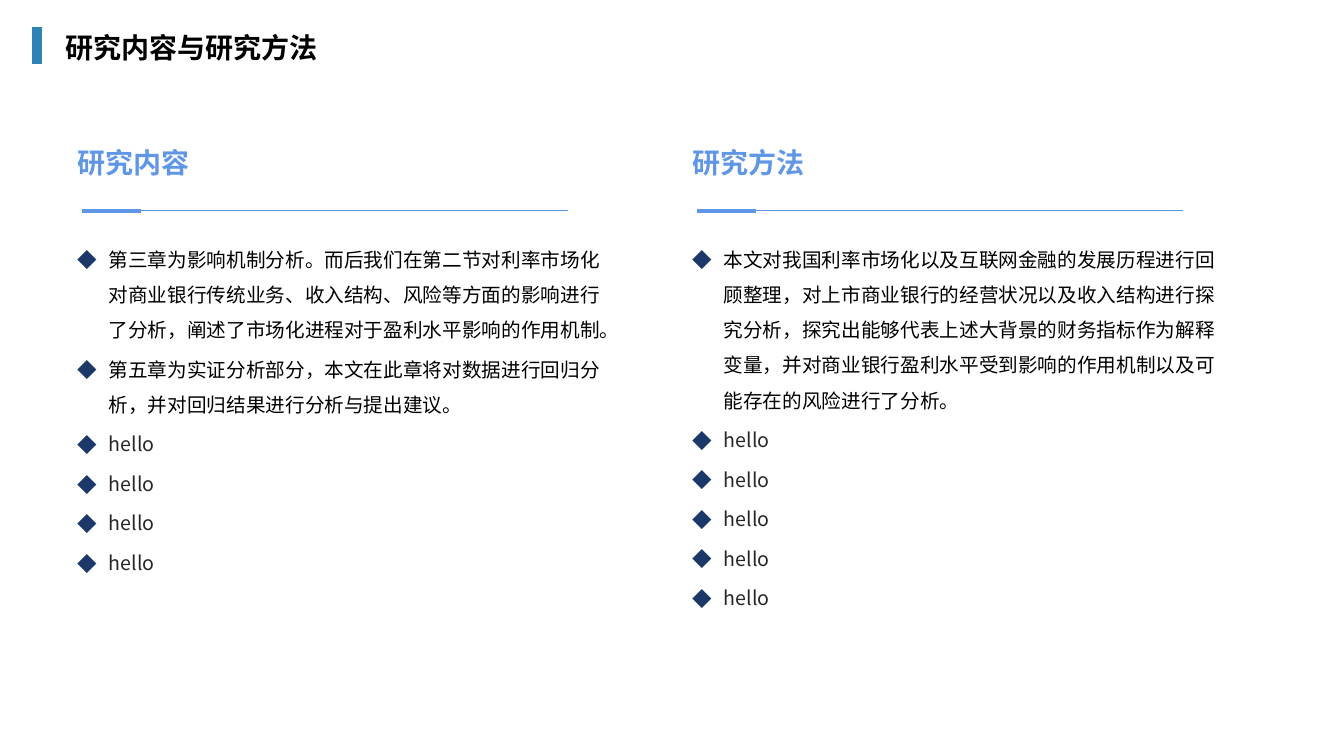
from pptx import Presentation
from pptx.dml.color import RGBColor
from pptx.enum.shapes import MSO_CONNECTOR
from pptx.enum.text import MSO_AUTO_SIZE
from pptx.oxml.ns import qn
from pptx.util import Inches, Pt
from lxml.etree import SubElement

FONT = "Noto Sans CJK SC"
COLORS = {
    "black": "000000",
    "gray": "262626",
    "accent": "6096E6",
    "bullet": "1B3868",
    "bar": "2D83B6",
}
HELLO = ("hello", "gray")
SECTIONS = [
    ("研究内容", [
        ("第三章为影响机制分析。而后我们在第二节对利率市场化对商业银行传统业务、收入结构、"
         "风险等方面的影响进行了分析，阐述了市场化进程对于盈利水平影响的作用机制。", "black"),
        ("第五章为实证分析部分，本文在此章将对数据进行回归分析，并对回归结果进行分析与提出建议。",
         "black"),
    ] + [HELLO] * 4),
    ("研究方法", [
        ("本文对我国利率市场化以及互联网金融的发展历程进行回顾整理，对上市商业银行的经营状况"
         "以及收入结构进行探究分析，探究出能够代表上述大背景的财务指标作为解释变量，"
         "并对商业银行盈利水平受到影响的作用机制以及可能存在的风险进行了分析。", "black"),
    ] + [HELLO] * 5),
]
SECTION_LEFT = 0.67
SECTION_STEP = 6.1


def add_line(slide, start, end, color, width):
    line = slide.shapes.add_connector(
        MSO_CONNECTOR.STRAIGHT, *(Inches(value) for value in start + end))
    line.line.color.rgb = RGBColor.from_string(COLORS[color])
    line.line.width = Pt(width)
    SubElement(line._element.spPr, qn("a:effectLst"))


def add_text_frame(slide, left, top, width, height):
    box = slide.shapes.add_textbox(
        Inches(left), Inches(top), Inches(width), Inches(height))
    frame = box.text_frame
    frame.word_wrap = True
    frame.auto_size = MSO_AUTO_SIZE.SHAPE_TO_FIT_TEXT
    return frame


def add_run(paragraph, text, size, color, bold=False):
    run = paragraph.add_run()
    run.text = text
    run.font.size = Pt(size)
    run.font.bold = bold
    run.font.color.rgb = RGBColor.from_string(COLORS[color])
    run.font.name = FONT
    SubElement(run.font._element, qn("a:ea")).set("typeface", FONT)


def add_heading(slide, text, color, *bounds):
    frame = add_text_frame(slide, *bounds)
    add_run(frame.paragraphs[0], text, 20, color, bold=True)


def set_bullet(paragraph):
    properties = paragraph._p.get_or_add_pPr()
    properties.set("marL", str(Inches(0.31)))
    properties.set("indent", str(-Inches(0.31)))
    bullet_color = SubElement(properties, qn("a:buClr"))
    SubElement(bullet_color, qn("a:srgbClr")).set("val", COLORS["bullet"])
    SubElement(properties, qn("a:buFont")).set("typeface", FONT)
    SubElement(properties, qn("a:buChar")).set("char", "◆")


def add_bullet_list(slide, items, *bounds):
    frame = add_text_frame(slide, *bounds)
    for index, (text, color) in enumerate(items):
        paragraph = frame.add_paragraph() if index else frame.paragraphs[0]
        set_bullet(paragraph)
        paragraph.line_spacing = Pt(25.2)
        paragraph.space_after = Pt(3)
        add_run(paragraph, text, 14, color)


def add_section(slide, left, heading, items):
    """Add a heading, its two-weight rule and the bullets below."""
    add_heading(slide, heading, "accent", left, 1.39, 3.55, 0.5)
    rule_left = left + 0.14
    for length, width in ((4.82, 1), (0.59, 3)):
        add_line(slide, (rule_left, 2.09), (rule_left + length, 2.09), "accent", width)
    add_bullet_list(slide, items, left, 2.29, 5.43, 2.43)


def main():
    presentation = Presentation()
    presentation.slide_width = Inches(13.33)
    presentation.slide_height = Inches(7.5)
    slide = presentation.slides.add_slide(presentation.slide_layouts[6])

    for index, (heading, items) in enumerate(SECTIONS):
        add_section(slide, SECTION_LEFT + index * SECTION_STEP, heading, items)
    add_line(slide, (0.37, 0.27), (0.37, 0.64), "bar", 7.25)
    add_heading(slide, "研究内容与研究方法", "black", 0.55, 0.25, 12.42, 0.44)

    presentation.save("out.pptx")


if __name__ == "__main__":
    main()
